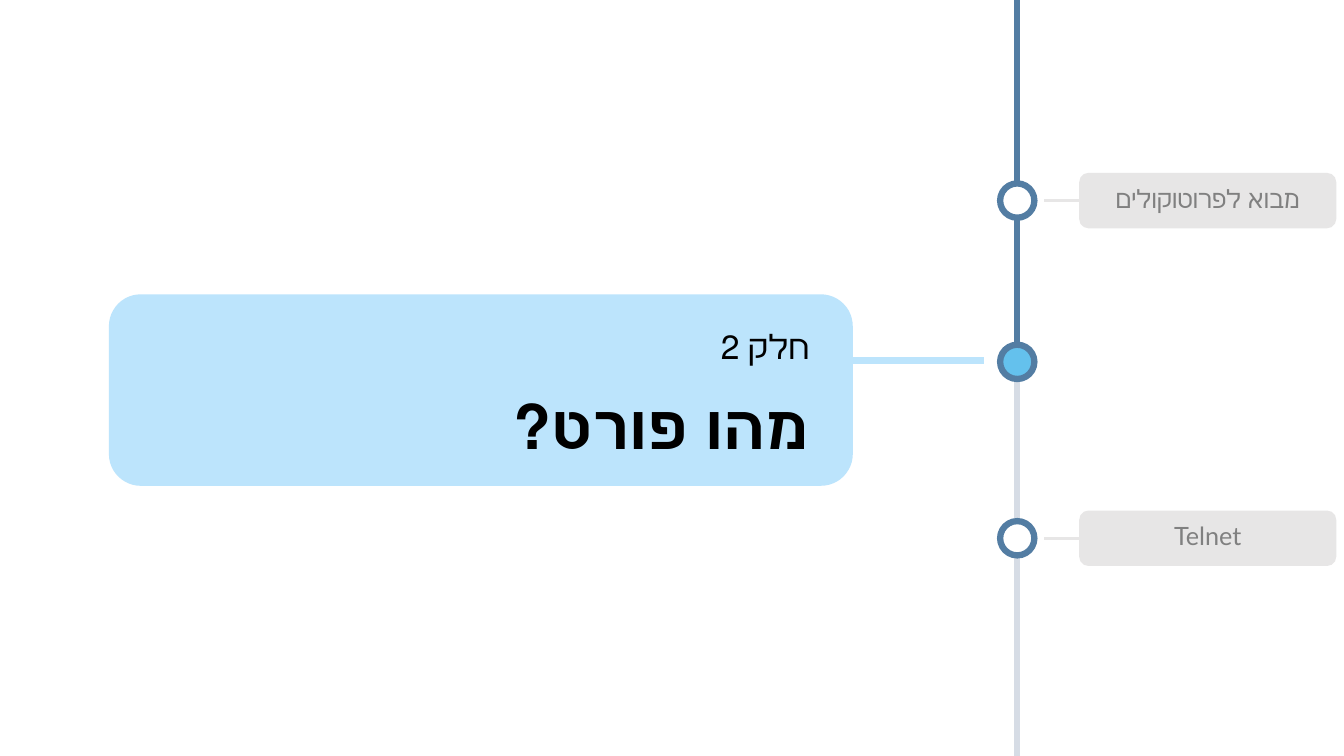
import pptx
import pptx.dml.color
import pptx.enum.shapes
import pptx.enum.text
import pptx.oxml
import pptx.oxml.ns
import pptx.util
import lxml.etree

RGBColor = pptx.dml.color.RGBColor
Shape = pptx.enum.shapes.MSO_SHAPE
Align = pptx.enum.text.PP_ALIGN
Anchor = pptx.enum.text.MSO_ANCHOR
Inches = pptx.util.Inches
Pt = pptx.util.Pt
qn = pptx.oxml.ns.qn

WHITE = RGBColor(0xFF, 0xFF, 0xFF)
BLACK = RGBColor(0, 0, 0)
STEEL = RGBColor(0x53, 0x7D, 0xA3)
SKY = RGBColor(0x64, 0xC1, 0xED)
PALE_SKY = RGBColor(0xBC, 0xE4, 0xFC)
MIST = RGBColor(0xD6, 0xDC, 0xE5)
LABEL_FILL = RGBColor(0xE7, 0xE6, 0xE6)
LABEL_TEXT = RGBColor(0x80, 0x80, 0x80)

COLUMNS, ROWS = 80, 45
TRUNK_COLUMN = 60.55
NODE_SIZE = 2.04
LABEL_COLUMN, LABEL_WIDTH, LABEL_HEIGHT = 64.24, 15.3, 3.3
THICK, THIN = 4.5, 2.25

FRAME_FORMAT = {
    "word_wrap": True,
    "auto_size": pptx.enum.text.MSO_AUTO_SIZE.NONE,
    "margin_left": Inches(0.1),
    "margin_top": 0,
    "margin_right": Inches(0.1),
    "margin_bottom": Inches(0.05),
}


class Timeline:
    """Draws on one slide; every length is in grid columns and rows."""

    font_name = "Lato"

    def __init__(self, presentation):
        self.column = presentation.slide_width / COLUMNS
        self.row = presentation.slide_height / ROWS
        self.slide = presentation.slides.add_slide(presentation.slide_layouts[5])
        self.shapes = self.slide.shapes

    def place(self, *pairs):
        """Turn (column, row) pairs into a flat list of slide lengths."""
        return [round(length) for column, row in pairs
                for length in (column * self.column, row * self.row)]

    def line(self, start, end, color, width):
        line = self.shapes.add_connector(
            pptx.enum.shapes.MSO_CONNECTOR.STRAIGHT, *self.place(start, end))
        line.line.color.rgb = color
        line.line.width = Pt(width)
        lxml.etree.SubElement(line.element.spPr, qn("a:effectLst"))
        return line

    def shape(self, kind, corner, size, fill):
        shape = self.shapes.add_shape(kind, *self.place(corner, size))
        shape.shadow.inherit = False
        shape.fill.solid()
        shape.fill.fore_color.rgb = fill
        shape.line.fill.background()
        return shape

    def node(self, row, fill):
        corner = (TRUNK_COLUMN - NODE_SIZE / 2, row - NODE_SIZE / 2)
        node = self.shape(Shape.OVAL, corner, (NODE_SIZE, NODE_SIZE), fill)
        node.line.color.rgb = STEEL
        node.line.width = Pt(THICK)

    def text(self, frame, anchor, lines, paragraph_format):
        """Write right-to-left lines, each a (text, font format) pair."""
        for name, value in {**FRAME_FORMAT, "vertical_anchor": anchor}.items():
            setattr(frame, name, value)
        for index, (words, color, font_format) in enumerate(lines):
            paragraph = frame.add_paragraph() if index else frame.paragraphs[0]
            paragraph._p.get_or_add_pPr().set("rtl", "1")
            for name, value in paragraph_format.items():
                setattr(paragraph, name, value)
            run = paragraph.add_run()
            run.text = words
            run.font.color.rgb = color
            for name, value in {"name": self.font_name, **font_format}.items():
                setattr(run.font, name, value)

    def label(self, row, words):
        label = self.shape(Shape.ROUNDED_RECTANGLE,
                           (LABEL_COLUMN, row - LABEL_HEIGHT / 2),
                           (LABEL_WIDTH, LABEL_HEIGHT), LABEL_FILL)
        self.text(label.text_frame, Anchor.MIDDLE,
                  [(words, LABEL_TEXT, {"size": Pt(18)})],
                  {"alignment": Align.CENTER})
        branch = self.line((62.16, row), (LABEL_COLUMN, row), LABEL_FILL, THIN)
        branch.end_connect(label, 1)

    def heading(self, corner, size, lines):
        title = self.shapes.title
        self.shapes.element.append(title.element)  # bring above the panel
        bounds = self.place(corner, size)
        for name, value in zip(("left", "top", "width", "height"), bounds):
            setattr(title, name, value)
        self.text(title.text_frame, Anchor.TOP, lines,
                  {"alignment": Align.RIGHT, "line_spacing": 1.3})


def main():
    presentation = pptx.Presentation()
    presentation.slide_width = Inches(13.33)
    presentation.slide_height = Inches(7.5)
    timeline = Timeline(presentation)

    intro_row, port_row, telnet_row = 11.94, 21.54, 32.04
    radius = NODE_SIZE / 2
    timeline.line((TRUNK_COLUMN, 0), (TRUNK_COLUMN, ROWS), MIST, THICK)
    for top, bottom in ((0, intro_row), (intro_row + radius, port_row)):
        timeline.line((TRUNK_COLUMN, top), (TRUNK_COLUMN, bottom - radius),
                      STEEL, THICK)
    for row, fill in ((intro_row, WHITE), (port_row, SKY), (telnet_row, WHITE)):
        timeline.node(row, fill)

    timeline.shape(Shape.ROUNDED_RECTANGLE, (6.48, 17.52), (44.28, 11.4), PALE_SKY)
    timeline.heading((8.52, 18.66), (40.26, 10.2), [
        ("חלק 2", BLACK, {"size": Pt(24)}),
        ("מהו פורט?", BLACK, {"size": Pt(44), "bold": True}),
    ])
    timeline.line((58.56, 21.46), (49.68, 21.46), PALE_SKY, THICK)

    for row, words in ((intro_row, "מבוא לפרוטוקולים"), (telnet_row, "Telnet")):
        timeline.label(row, words)

    presentation.save("out.pptx")


if __name__ == "__main__":
    main()
